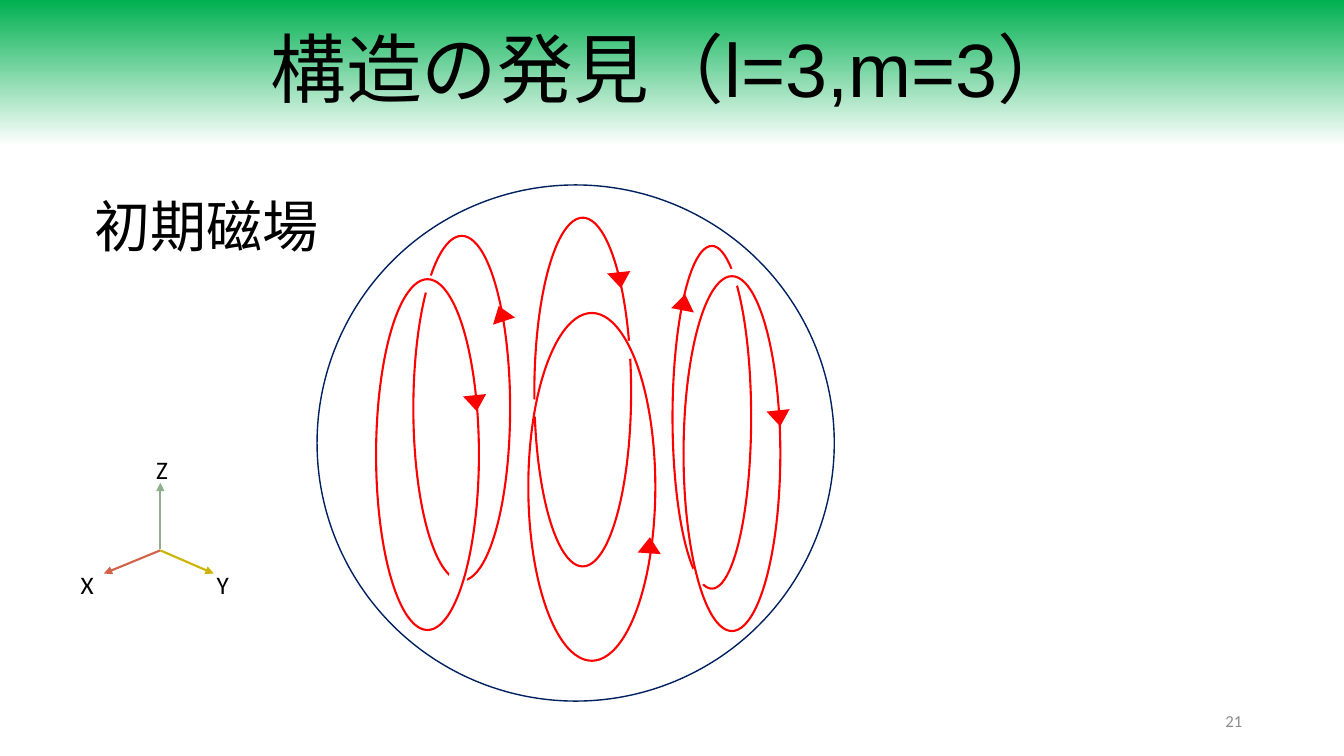
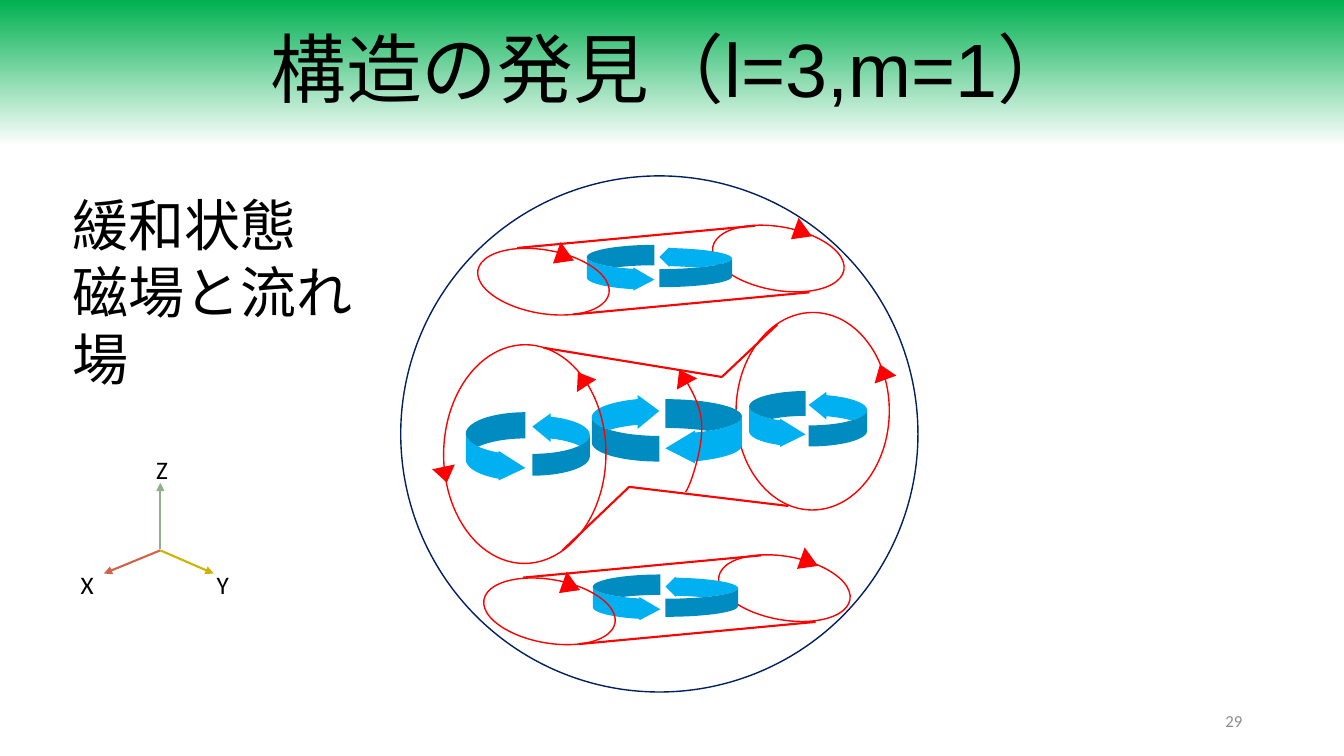
from lxml.etree import SubElement
from pptx import Presentation
from pptx.dml.color import RGBColor
from pptx.enum.shapes import MSO_CONNECTOR, MSO_SHAPE
from pptx.enum.text import MSO_ANCHOR, MSO_AUTO_SIZE, PP_ALIGN
from pptx.oxml.ns import qn
from pptx.util import Inches, Pt

deck = Presentation()
deck.slide_width, deck.slide_height = Inches(13.33), Inches(7.5)
COL, ROW = deck.slide_width / 133.3, deck.slide_height / 75
RED, NAVY, BLUE, WHITE, BLACK = "FF0000", "002060", "00B0F0", "FFFFFF", "000000"
OVAL, TRI = MSO_SHAPE.OVAL, MSO_SHAPE.ISOSCELES_TRIANGLE
LEFT, RIGHT = MSO_SHAPE.CURVED_LEFT_ARROW, MSO_SHAPE.CURVED_RIGHT_ARROW


def hue(code):
    return RGBColor.from_string(code)


def put(slide, kind, x, y, w, h, fill=None, line=None, pts=1, turn=0, flip="", adj=()):
    shape = slide.shapes.add_shape(kind, int(x * COL), int(y * ROW), int(w * COL), int(h * ROW))
    shape.shadow.inherit = False
    shape.rotation = turn
    for i, value in enumerate(adj):
        shape.adjustments[i] = value
    for axis in flip:
        shape._element.spPr.find(qn("a:xfrm")).set("flip" + axis, "1")
    if fill:
        shape.fill.solid()
        shape.fill.fore_color.rgb = hue(fill)
    else:
        shape.fill.background()
    if line:
        shape.line.color.rgb = hue(line)
        shape.line.width = Pt(pts)
    else:
        shape.line.fill.background()


axes = [
    (15.9, 54.5, 15.9, 47.9, "8FB08C", True),
    (15.9, 54.6, 10.3, 56.9, "D16349", True),
    (15.9, 54.6, 21.2, 56.9, "CCB400", True),
]
labels = [("Z", 14.5, 44.6), ("Y", 20.5, 56), ("X", 7, 56)]
tubes = [(0, 0), (0.6, 32.7)]
rods = [(53.9, 34.5, 71.6, 37.4), (71.6, 37.4, 77.1, 32.2), (55.8, 54.6, 62.4, 48.3), (62.4, 48.3, 78.2, 50.2)]
for dx, dy in tubes:
    for x1, y1, x2, y2 in [(56.8, 31.2, 80.3, 29), (51.3, 24.6, 74.9, 22.4)]:
        rods.append((x1 + dx, y1 + dy, x2 + dx, y2 + dy))

pages = [
    ("構造の発見（l=3,m=3）", "21", ["初期磁場"], (8.4, 18.5, 24.5, 7.7), (31.45, 18.35), []),
    ("構造の発見（l=3,m=1）", "29", ["緩和状態", "磁場と流れ場"], (6.2, 18.4, 34.4, 14.5), (39.75, 17.45),
     [(*rod, RED, False) for rod in rods]),
]
slides = []
for title, num, note, area, ball, links in pages:
    slide = deck.slides.add_slide(deck.slide_layouts[5])
    slides.append(slide)
    head = slide.shapes.title
    spot = {"left": 0, "top": 0, "width": deck.slide_width, "height": int(14.5 * ROW)}
    for key, value in spot.items():
        setattr(head, key, value)
    head.fill.gradient()
    head.fill.gradient_angle = 270
    for stop, code in zip(head.fill.gradient_stops, ["00B050", WHITE]):
        stop.color.rgb = hue(code)

    texts = [(head, [title], 54, "Arial", BLACK, PP_ALIGN.CENTER, MSO_ANCHOR.MIDDLE, 0.9)]
    blocks = [
        ([num], (94.2, 69.5, 30, 4), 12, "8C8C8C", PP_ALIGN.RIGHT, MSO_ANCHOR.MIDDLE),
        (note, area, 40, BLACK, PP_ALIGN.LEFT, MSO_ANCHOR.TOP),
    ]
    for mark, x, y in labels:
        blocks.append(([mark], (x, y, 2.8, 4), 18, BLACK, PP_ALIGN.LEFT, MSO_ANCHOR.TOP))
    for lines, (x, y, w, h), size, code, align, anchor in blocks:
        box = slide.shapes.add_textbox(int(x * COL), int(y * ROW), int(w * COL), int(h * ROW))
        texts.append((box, lines, size, "Calibri", code, align, anchor, 1))
    for box, lines, size, face, code, align, anchor, gap in texts:
        frame = box.text_frame
        look = {"word_wrap": True, "auto_size": MSO_AUTO_SIZE.NONE, "vertical_anchor": anchor}
        for key, value in look.items():
            setattr(frame, key, value)
        frame.text = "\n".join(lines)
        for para in frame.paragraphs:
            para.alignment, para.line_spacing = align, gap
            for key, value in {"size": Pt(size), "name": face}.items():
                setattr(para.font, key, value)
            para.font.color.rgb = hue(code)

    put(slide, OVAL, *ball, 51.3, 51.2, line=NAVY)
    for x1, y1, x2, y2, code, tip in axes + links:
        link = slide.shapes.add_connector(
            MSO_CONNECTOR.STRAIGHT, int(x1 * COL), int(y1 * ROW), int(x2 * COL), int(y2 * ROW))
        link.line.color.rgb = hue(code)
        link.line.width = Pt(1.5)
        if tip:
            SubElement(link.line._get_or_add_ln(), qn("a:tailEnd"), type="triangle")
        SubElement(link._element.spPr, qn("a:effectLst"))

first, last = slides
back = [(41, 23.4, 9.6, 34.2), (53, 21.6, 9.6, 34.6), (66.7, 24.4, 7.8, 34)]
gaps = [(44.5, 56.3), (41.6, 27.3), (51.9, 39.6), (61.5, 33.8), (68.3, 56.3), (71.9, 26.6)]
front = [(37.3, 27.7, 10.2, 34.8), (52.4, 31.05, 12.6, 34.5), (67.8, 27.4, 9.6, 35.2)]
for ring in back:
    put(first, OVAL, *ring, line=RED, pts=1.5)
for x, y in gaps:
    put(first, OVAL, x, y, 1.9, 1.8, fill=WHITE)
for ring in front:
    put(first, OVAL, *ring, line=RED, pts=1.5)
for x, y, turn in [(76.1, 40.7, 174), (46, 39.2, 174), (60.3, 27, 174),
                   (63.3, 53.3, 4), (48.6, 30.3, 342), (66.7, 29.2, 11)]:
    put(first, TRI, x, y, 2.3, 1.6, fill=RED, turn=turn, adj=[0.48])

bend, curl = (0.44, 0.5, 0.45), (0.38, 0.5, 0.32)
put(last, OVAL, 73, 31, 15.2, 19.6, line=RED, turn=0.5)
for kind, x, y, w, h, flip, adj in [
    (RIGHT, 66, 39.6, 7.6, 6.5, "H", bend),
    (LEFT, 58.7, 39.1, 6.7, 6.7, "HV", curl),
    (LEFT, 80.2, 38.8, 5.8, 5.5, "V", curl),
    (RIGHT, 74.3, 38.8, 5.6, 5.7, "", bend),
    (RIGHT, 46.2, 40.9, 5.9, 7, "", bend),
    (LEFT, 52.8, 40.9, 5.7, 6.3, "V", curl),
]:
    put(last, kind, x, y, w, h, fill=BLUE, flip=flip, adj=adj)
put(last, OVAL, 44, 34.2, 16.1, 21.7, line=RED, turn=0.5)

curves = [
    [(67.4, 36.7), (68.5, 38.5), (69.6, 40.3), (69.6, 42.3)],
    [(69.6, 42.3), (69.7, 44.4), (68.5, 48.2), (68, 48.8)],
]
dots = []
for curve in curves:
    for step in range(13):
        t = step / 12
        parts = [(1 - t) ** 3, 3 * t * (1 - t) ** 2, 3 * t * t * (1 - t), t ** 3]
        dots.append((int(sum(p * x for p, (x, y) in zip(parts, curve)) * COL),
                     int(sum(p * y for p, (x, y) in zip(parts, curve)) * ROW)))
pen = last.shapes.build_freeform(*dots[0])
pen.add_line_segments(dots[1:], close=False)
arc = pen.convert_to_shape()
arc.shadow.inherit = False
arc.fill.background()
arc.line.color.rgb = hue(RED)
arc.line.width = Pt(1)

for x, y, turn in [(56.6, 36.8, 327), (86.4, 36.1, 340), (43, 46.3, 168), (66.6, 36.6, 331)]:
    put(last, TRI, x, y, 2.3, 1.6, fill=RED, turn=turn)
for dx, dy in tubes:
    put(last, RIGHT, 58.2 + dx, 24.3 + dy, 6.7, 4.6, fill=BLUE, adj=bend)
    for x, y in [(54.7, 24), (78.3, 21.6)]:
        put(last, TRI, x + dx, y + dy, 2.1, 2, fill=RED, turn=352)
    for x, y in [(70.6, 22.5), (47.3, 24.8)]:
        put(last, OVAL, x + dx, y + dy, 13.2, 6.3, line=RED, turn=10)
    put(last, LEFT, 65.4 + dx, 24.5 + dy, 7.2, 4, fill=BLUE, flip="V", adj=(0.45, 0.5, 0.25))

deck.save("out.pptx")
